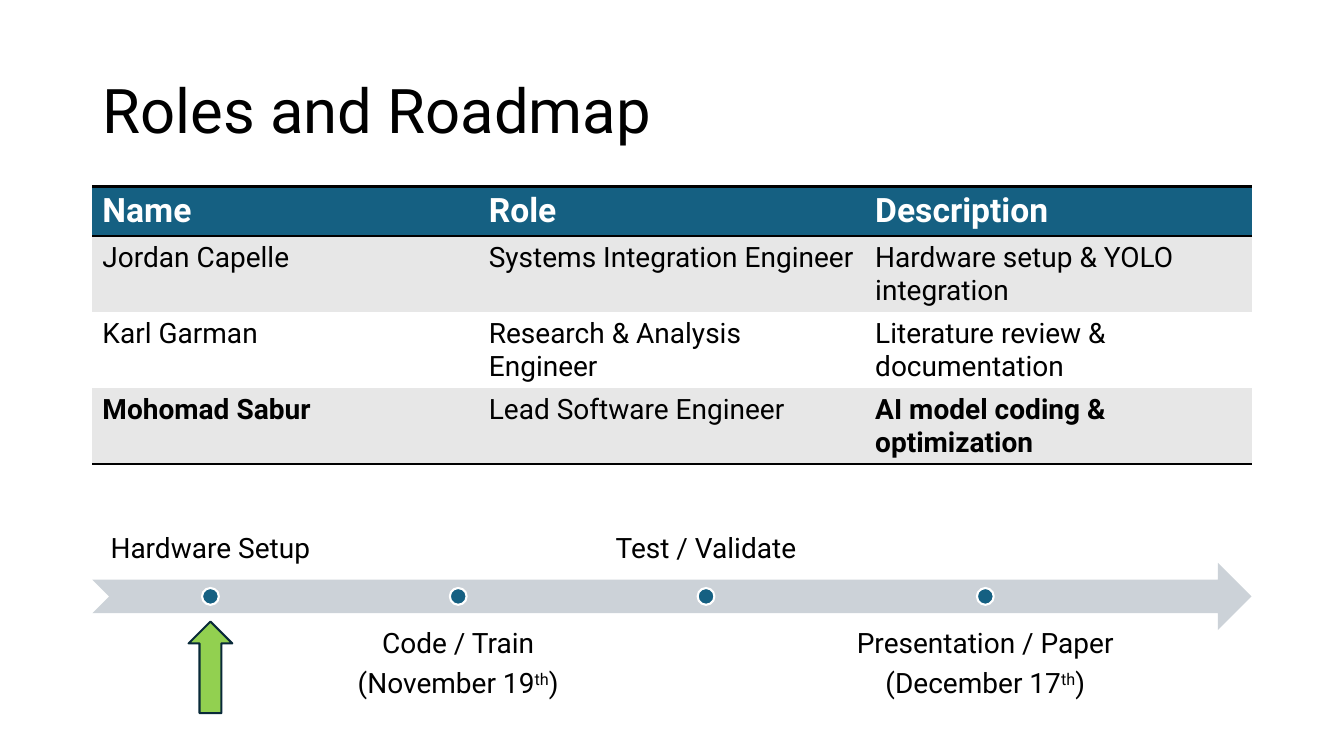
from lxml.etree import SubElement
from pptx import Presentation
from pptx.dml.color import RGBColor as Rgb
from pptx.enum.shapes import MSO_SHAPE as Shape
from pptx.enum.text import MSO_ANCHOR as Anchor, PP_ALIGN as Align
from pptx.oxml import parse_xml
from pptx.oxml.ns import nsdecls, qn
from pptx.util import Inches, Pt

COLORS = {"ink": "000000", "paper": "FFFFFF", "teal": "156082", "band": "E7E7E7",
          "road": "CCD2D8", "green": "92D050", "edge": "092A39"}
COLS, ROWS = 160, 90
PLAIN = "{2D5ABB26-0587-4C30-8999-92F81FD0307C}"

TEAM = [
    ["Name", "Role", "Description"],
    ["Jordan Capelle", "Systems Integration Engineer", "Hardware setup & YOLO integration"],
    ["Karl Garman", "Research & Analysis Engineer", "Literature review & documentation"],
    ["Mohomad Sabur", "Lead Software Engineer", "AI model coding & optimization"],
]
BOLD = {"Mohomad Sabur", "AI model coding & optimization", *TEAM[0]}

# Label lines as lists of runs, then the label's width in columns
STOPS = [
    ([["Hardware Setup"]], 28.1),
    ([["Code / Train"], ["(November 19", "th", ")"]], 28.1),
    ([["Test / Validate"]], 28.1),
    ([["Presentation / Paper"], ["(December 17", "th", ")"]], 35.6),
]


class Deck:
    """Places styled elements on a grid of COLS by ROWS square cells."""

    def __init__(self):
        self.prs = Presentation()
        self.prs.slide_width, self.prs.slide_height = Inches(13.333), Inches(7.5)
        self.cell = Inches(7.5) / ROWS
        self.font = "Roboto"
        self.slide = self.prs.slides.add_slide(self.prs.slide_layouts[5])

    def grid(self, *units):
        return [round(u * self.cell) for u in units]

    def run(self, para, text, size=20, color="ink", bold=False):
        run = para.add_run()
        run.text = text
        font = run.font
        font.name, font.size, font.bold = self.font, Pt(size), bold
        font.color.rgb = Rgb.from_string(COLORS[color])
        return run

    def title(self, text, *box):
        head = self.slide.shapes.title
        head.left, head.top, head.width, head.height = self.grid(*box)
        frame = head.text_frame
        frame.vertical_anchor, frame.word_wrap = Anchor.MIDDLE, True
        para = frame.paragraphs[0]
        para.alignment, para.line_spacing = Align.LEFT, 0.9
        self.run(para, text, 44)

    def shape(self, kind, fill, *box, line=None):
        item = self.slide.shapes.add_shape(kind, *self.grid(*box))
        item.shadow.inherit = False
        item.fill.solid()
        item.fill.fore_color.rgb = Rgb.from_string(COLORS[fill])
        if line:
            item.line.color.rgb = Rgb.from_string(COLORS[line])
            item.line.width = Pt(1.5)
        else:
            item.line.fill.background()

    def label(self, lines, anchor, *box):
        frame = self.slide.shapes.add_textbox(*self.grid(*box)).text_frame
        frame.word_wrap, frame.vertical_anchor = True, anchor
        frame.margin_left = frame.margin_right = Inches(0.16)
        frame.margin_top = frame.margin_bottom = Inches(0.16)
        for i, runs in enumerate(lines):
            para = frame.add_paragraph() if i else frame.paragraphs[0]
            para.alignment, para.line_spacing = Align.CENTER, 0.9
            para.space_after = Pt(7)
            for text in runs:
                run = self.run(para, text)
                if text == "th":
                    run.font._element.set("baseline", "30000")

    def rule(self, cell, side):
        """Draw a black border on one side ("T" or "B") of a cell."""
        props = cell._tc.get_or_add_tcPr()
        line = SubElement(props, qn(f"a:ln{side}"), w=str(Pt(2)))
        line.append(parse_xml(f'<a:solidFill {nsdecls("a")}>'
                              f'<a:srgbClr val="{COLORS["ink"]}"/></a:solidFill>'))

    def table(self, rows, heights, *box):
        frame = self.slide.shapes.add_table(len(rows), len(rows[0]), *self.grid(*box))
        table = frame.table
        table._tbl.tblPr.find(qn("a:tableStyleId")).text = PLAIN
        for r, texts in enumerate(rows):
            table.rows[r].height = self.grid(heights[r])[0]
            fill = "teal" if r == 0 else "band" if r % 2 else "paper"
            for c, text in enumerate(texts):
                cell = table.cell(r, c)
                if r == 0:
                    self.rule(cell, "T")
                if r in (0, len(rows) - 1):
                    self.rule(cell, "B")
                cell.fill.solid()
                cell.fill.fore_color.rgb = Rgb.from_string(COLORS[fill])
                size, color = (20, "ink") if r else (24, "paper")
                self.run(cell.text_frame.paragraphs[0], text, size, color, text in BOLD)


def main():
    deck = Deck()
    left, wide = 11, COLS - 22
    deck.title("Roles and Roadmap", left, 4.8, wide, 17.4)
    deck.table(TEAM, [5.9, 9, 9, 9], left, 22.2, wide, 32.9)

    road, tall, dot = 67, 8, 2
    deck.shape(Shape.NOTCHED_RIGHT_ARROW, "road", left, road, wide, tall)
    mids = []
    x = left
    for i, (lines, width) in enumerate(STOPS):
        anchor, top = (Anchor.TOP, road + 6) if i % 2 else (Anchor.BOTTOM, road - 6)
        deck.label(lines, anchor, x, top, width, tall)
        mids.append(x + width / 2)
        deck.shape(Shape.OVAL, "teal", mids[i] - dot / 2, road + (tall - dot) / 2,
                   dot, dot, line="paper")
        x += width + 1.4

    now = 5.2
    deck.shape(Shape.UP_ARROW, "green", mids[0] - now / 2, 74, now, 10.9, line="edge")
    deck.prs.save("out.pptx")


if __name__ == "__main__":
    main()
